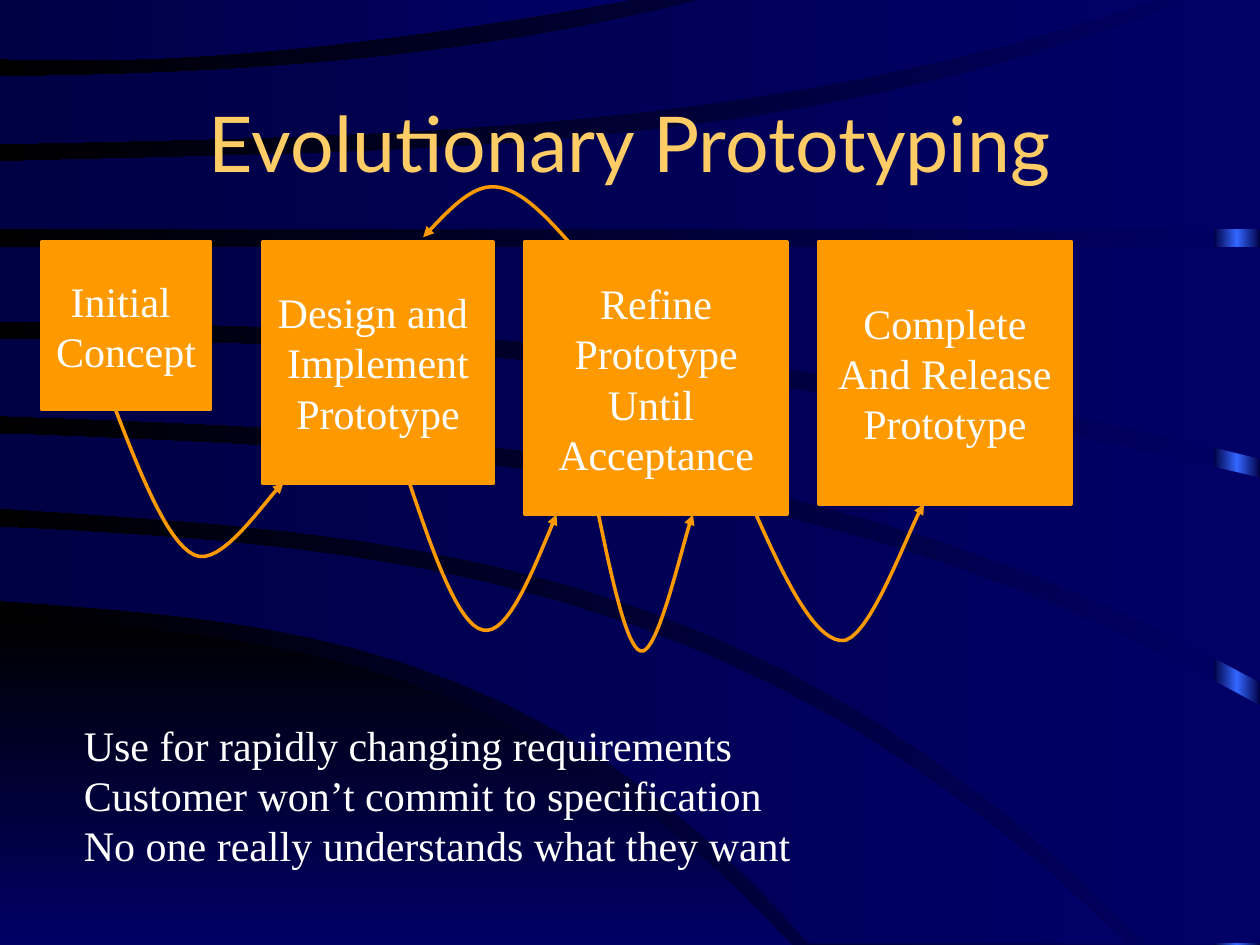
import copy
import pptx
import pptx.util
import pptx.dml.color
import pptx.enum.shapes
import pptx.enum.text
import pptx.oxml
import pptx.oxml.ns

ALIGN = pptx.enum.text.PP_ALIGN
ANCHOR = pptx.enum.text.MSO_ANCHOR
RECTANGLE = pptx.enum.shapes.MSO_SHAPE.RECTANGLE
ORANGE, GOLD, WHITE = "FF9900", "FFCC66", "FFFFFF"
NAVY, DEEP, BLACK, BLUE = "000066", "000044", "000000", "3366FF"

deck = pptx.Presentation()
deck.slide_width = pptx.util.Inches(10)
deck.slide_height = pptx.util.Inches(7.5)
unit = deck.slide_width // 120
slide = deck.slides.add_slide(deck.slide_layouts[5])
shapes = slide.shapes


def paint(fill, colors, angle=180):
    if len(colors) == 1:
        fill.solid()
        fill.fore_color.rgb = pptx.dml.color.RGBColor.from_string(colors[0])
        return
    fill.gradient()
    fill.gradient_angle = angle
    for stop, color in zip(fill.gradient_stops, colors):
        stop.color.rgb = pptx.dml.color.RGBColor.from_string(color)


def write(frame, text, size=24, font="Times New Roman", color=WHITE,
          align=ALIGN.CENTER, anchor=ANCHOR.MIDDLE, wrap=False):
    frame.text = text
    frame.word_wrap = wrap
    frame.auto_size = pptx.enum.text.MSO_AUTO_SIZE.NONE
    frame.vertical_anchor = anchor
    for paragraph in frame.paragraphs:
        paragraph.alignment = align
        paragraph.font.size = pptx.util.Pt(size)
        paragraph.font.name = font
        paint(paragraph.font.fill, [color])


paint(slide.background.fill, [NAVY, BLACK])

glow = shapes.add_shape(RECTANGLE, int(115.6 * unit), 0, int(4.4 * unit), 90 * unit)
glow.shadow.inherit = False
glow.line.fill.background()
paint(glow.fill, [DEEP, BLUE])
stops = glow._element.find(".//" + pptx.oxml.ns.qn("a:gsLst"))
stops.append(copy.deepcopy(stops[0]))
for place, stop in enumerate(stops):
    stop.set("pos", str(place * 50000))

steps = 16
ticks = [step / steps for step in range(steps + 1)]
blends = [((1 - t) ** 3, 3 * t * (1 - t) ** 2, 3 * t * t * (1 - t), t ** 3) for t in ticks]

swooshes = [
    ((75.4, [58.9, 60.4, 62.4, 90]), (75.4, [90] * 4)),
    ((107.2, [50.2, 52, 54.4, 89.8]), (77, [57.2, 59.1, 60.2, 89.8])),
    ((120, [41.3, 42.9, 44.2, 67.2]), (109.1, [48.4, 50.8, 52, 89.8])),
    ((120, [32.3, 32.5, 35.6, 45.5]), (120, [39.6, 41, 42.4, 65])),
    ((120, [23.5] * 4), (120, [30.6, 30.8, 33.5, 43.7])),
    ((113.2, [15.4, 14.3, 15.2, 0]), (120, [21.8] * 4)),
    ((66.7, [7.3, 7.1, 5.7, 0]), (110, [13.7, 12.9, 12.7, 0])),
    ((60.1, [0] * 4), (60.1, [5.6, 6.4, 3.5, 0])),
]
for order, edges in enumerate(swooshes):
    upper, lower = [
        [(reach * t * unit, unit * sum(w * y for w, y in zip(blend, heights)))
         for t, blend in zip(ticks, blends)]
        for reach, heights in edges]
    near, far = sorted([upper[-1], lower[-1]])
    builder = shapes.build_freeform(*upper[0])
    builder.add_line_segments(upper[1:] + [(far[0], near[1])] + lower[::-1], close=True)
    swoosh = builder.convert_to_shape()
    swoosh.shadow.inherit = False
    swoosh.line.fill.background()
    if order == 0:
        paint(swoosh.fill, [BLACK, NAVY], angle=270)
    else:
        paint(swoosh.fill, [NAVY, DEEP])

heading = shapes.title
shapes._spTree.append(heading._element)
heading.left, heading.top, heading.width, heading.height = (
    9 * unit, 6 * unit, 102 * unit, 15 * unit)
write(heading.text_frame, "Evolutionary Prototyping", size=44, font="Lato",
      color=GOLD, wrap=True)

stages = [
    (4, 16, 16, "Initial \nConcept"),
    (25, 22, 23, "Design and \nImplement\nPrototype"),
    (50, 25, 26, "Refine\nPrototype\nUntil \nAcceptance"),
    (78, 24, 25, "Complete\nAnd Release\nPrototype"),
]
for column, width, height, label in stages:
    stage = shapes.add_shape(RECTANGLE, column * unit, 23 * unit,
                             width * unit, height * unit)
    stage.shadow.inherit = False
    paint(stage.fill, [ORANGE])
    paint(stage.line.fill, [ORANGE])
    stage.line.width = pptx.util.Pt(2)
    write(stage.text_frame, label)

advice = shapes.add_textbox(int(6.8 * unit), int(67.9 * unit),
                            int(69.7 * unit), int(15.6 * unit))
write(advice.text_frame,
      "Use for rapidly changing requirements\n"
      "Customer won’t commit to specification\n"
      "No one really understands what they want",
      align=ALIGN.LEFT, anchor=ANCHOR.TOP)

steady, late = (0.67, 0.5), (0.85, 0.88)
loops = [
    ((11, 39), (19, 53), (27, 46), late),
    ((39, 46), (46, 60), (53, 49), steady),
    ((57, 49), (61, 62), (66, 49), late),
    ((72, 49), (80, 61), (88, 48), late),
    ((54.4, 23.3), (47.2, 17.8), (40.3, 22.6), steady),
]
for start, turn, end, lean in loops:
    trail = []
    for a, b, pulls in ((start, turn, [(0.33, 0.49), (0.67, 0.97)]),
                        (turn, end, [(0.34, -0.05), lean])):
        knots = [[p + (q - p) * share for p, q, share in zip(a, b, pull)]
                 for pull in [(0, 0), *pulls, (1, 1)]]
        trail += [tuple(unit * sum(w * value for w, value in zip(blend, values))
                        for values in zip(*knots)) for blend in blends[1:]]
    builder = shapes.build_freeform(start[0] * unit, start[1] * unit)
    builder.add_line_segments(trail, close=False)
    loop = builder.convert_to_shape()
    loop.shadow.inherit = False
    loop.fill.background()
    paint(loop.line.fill, [ORANGE])
    loop.line.width = pptx.util.Pt(2)
    stroke = loop._element.spPr.find(pptx.oxml.ns.qn("a:ln"))
    stroke.append(pptx.oxml.parse_xml(
        '<a:tailEnd xmlns:a="http://schemas.openxmlformats.org/drawingml/2006/main"'
        ' type="triangle"/>'))

deck.save("out.pptx")
